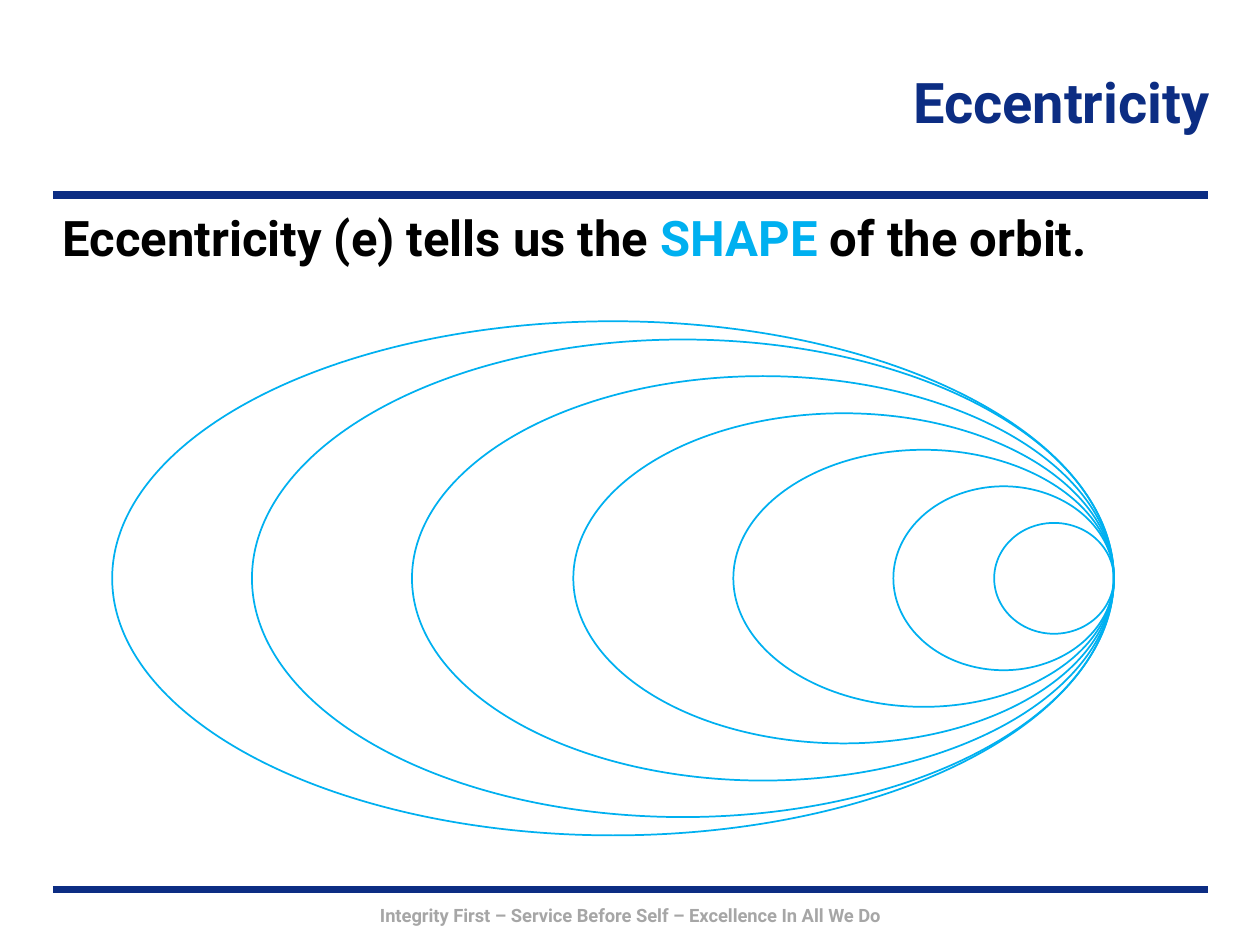
from lxml import etree
from pptx import Presentation
from pptx import util as u
from pptx.dml.color import RGBColor
from pptx.enum import shapes, text
from pptx.oxml.ns import qn

COLORS = {"navy": "0C2D83", "sky": "00B0F0", "black": "000000", "gray": "A6A6A6"}
FONT = "Roboto"


def color(name):
    return RGBColor.from_string(COLORS[name])


def add_text(left, top, width, height, runs, size, align, anchor):
    """Add a one-paragraph text box; runs are (wording, colour name) pairs."""
    box = slide.shapes.add_textbox(
        u.Inches(left), u.Inches(top), u.Inches(width), u.Inches(height))
    frame = box.text_frame
    frame.word_wrap = True
    frame.vertical_anchor = anchor
    para = frame.paragraphs[0]
    para.alignment = align
    for wording, color_name in runs:
        span = para.add_run()
        span.text = wording
        span.font.name = FONT
        span.font.size = u.Pt(size)
        span.font.bold = True
        span.font.color.rgb = color(color_name)


deck = Presentation()
deck.slide_width = u.Inches(10)
deck.slide_height = u.Inches(7.5)
slide = deck.slides.add_slide(deck.slide_layouts[6])

# Rules above and below the content
for y in (7.06, 1.55):
    rule = slide.shapes.add_connector(
        shapes.MSO_CONNECTOR.STRAIGHT,
        u.Inches(0.42), u.Inches(y), u.Inches(9.59), u.Inches(y))
    rule.line.color.rgb = color("navy")
    rule.line.width = u.Pt(4.5)
    etree.SubElement(rule.element.spPr, qn("a:effectLst"))

# Footer motto, title and statement
align, anchor = text.PP_ALIGN, text.MSO_ANCHOR
add_text(1.42, 7.13, 7.17, 0.28,
         [("Integrity First – Service Before Self – Excellence In All We Do", "gray")],
         10.5, align.CENTER, anchor.TOP)
add_text(2, 0.2, 7.7, 1.2, [("Eccentricity", "navy")],
         32, align.RIGHT, anchor.MIDDLE)
add_text(0.4, 1.6, 9.2, 5.4,
         [("Eccentricity (e) tells us the ", "black"),
          ("SHAPE", "sky"),
          (" of the orbit.", "black")],
         28, align.LEFT, anchor.TOP)

# Orbits share their rightmost point and their horizontal axis
ORBIT_RIGHT, ORBIT_AXIS = 8.84, 4.59
ORBIT_SIZES = [(7.95, 4.08), (6.84, 3.79), (5.57, 3.21), (4.29, 2.62),
               (3.02, 2.04), (1.75, 1.46), (0.95, 0.88)]
orbits = slide.shapes.add_group_shape()
for width, height in ORBIT_SIZES:
    orbit = orbits.shapes.add_shape(
        shapes.MSO_SHAPE.OVAL,
        u.Inches(ORBIT_RIGHT - width), u.Inches(ORBIT_AXIS - height / 2),
        u.Inches(width), u.Inches(height))
    orbit.shadow.inherit = False
    orbit.fill.background()
    orbit.line.color.rgb = color("sky")
    orbit.line.width = u.Pt(1)

deck.save("out.pptx")
